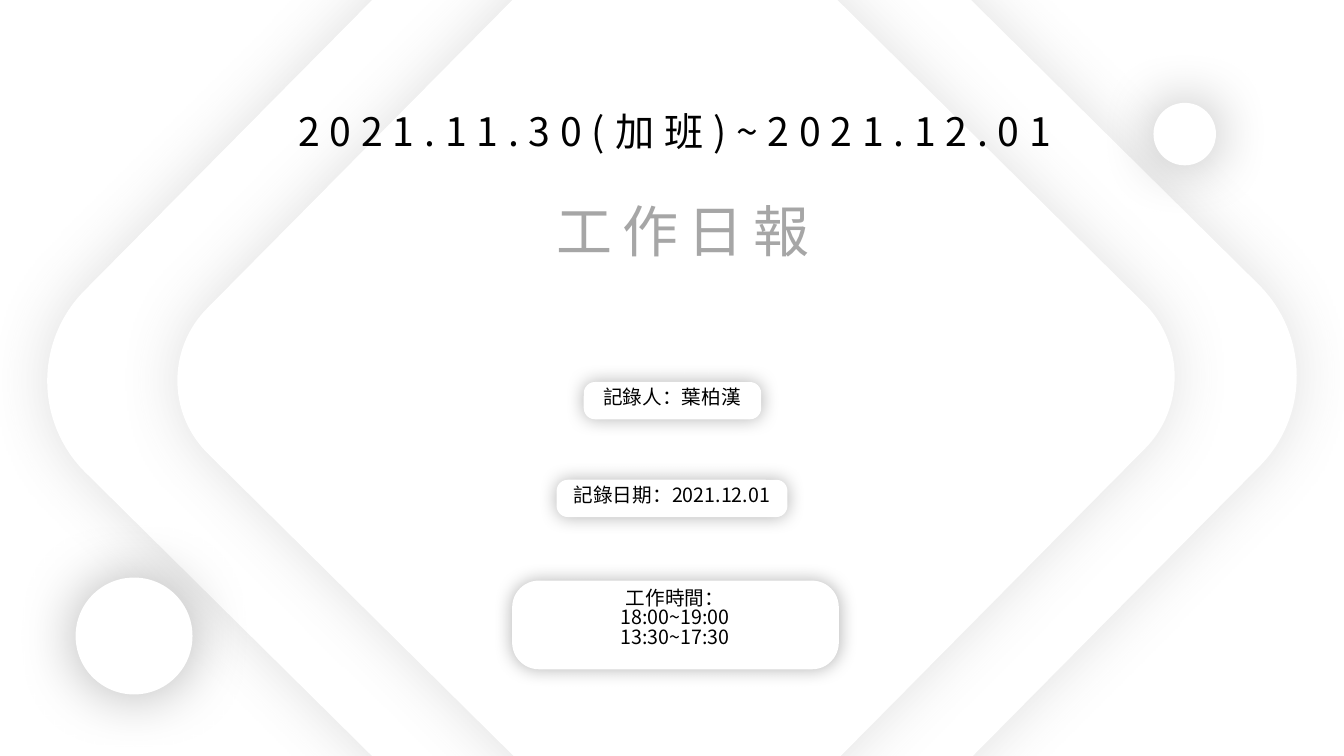
"""Build the cover slide of a daily work report."""
from lxml.etree import SubElement
from pptx import Presentation
from pptx.dml.color import RGBColor
from pptx.enum.shapes import MSO_SHAPE
from pptx.enum.text import MSO_ANCHOR, MSO_AUTO_SIZE, PP_ALIGN
from pptx.oxml.ns import qn
from pptx.util import Pt

PX = 9144
FONT = "Noto Sans CJK SC"
COLORS = {"white": "FFFFFF", "black": "000000", "grey": "A6A6A6", "frame shadow": "595959"}


def add_panel(shapes, kind, box, shadow_color, opacity, blur):
    """Add a white shape with a soft shadow all around it."""
    panel = shapes.add_shape(kind, *[length * PX for length in box])
    panel.fill.solid()
    panel.fill.fore_color.rgb = RGBColor.from_string(COLORS["white"])
    panel.line.fill.background()
    panel.shadow.inherit = False
    effects = panel._element.spPr.find(qn("a:effectLst"))
    shadow = SubElement(effects, qn("a:outerShdw"), blurRad=str(Pt(blur)), dist="0",
                        dir="0", algn="ctr", rotWithShape="0")
    color = SubElement(shadow, qn("a:srgbClr"), val=COLORS[shadow_color])
    SubElement(color, qn("a:alpha"), val=str(opacity * 1000))
    return panel


def write_text(shape, box, lines, size, color, spacing=0):
    """Place a text shape and fill it with centred lines."""
    shape.left, shape.top, shape.width, shape.height = [length * PX for length in box]
    frame = shape.text_frame
    frame.word_wrap = True
    frame.auto_size = MSO_AUTO_SIZE.SHAPE_TO_FIT_TEXT
    frame.vertical_anchor = MSO_ANCHOR.TOP
    for index, line in enumerate(lines):
        paragraph = frame.add_paragraph() if index else frame.paragraphs[0]
        paragraph.alignment = PP_ALIGN.CENTER
        paragraph.line_spacing = 0.83
        run = paragraph.add_run()
        run.text = line
        run.font.size = Pt(size)
        run.font.name = FONT
        run.font.color.rgb = RGBColor.from_string(COLORS[color])
        properties = run.font._element
        SubElement(properties, qn("a:ea"), typeface=FONT)
        if spacing:
            properties.set("spc", str(spacing * 100))


presentation = Presentation()
presentation.slide_width = 1333 * PX
presentation.slide_height = 750 * PX
slide = presentation.slides.add_slide(presentation.slide_layouts[5])
shapes = slide.shapes

for box in [(191, -100, 951, 951), (291, -4, 759, 759)]:
    diamond = add_panel(shapes, MSO_SHAPE.ROUNDED_RECTANGLE, box, "frame shadow", 19, 43)
    diamond.adjustments[0] = 0.134
    diamond.rotation = 44.7

period = shapes.add_textbox(0, 0, PX, PX)
write_text(period, (266, 109, 807, 57), ["2021.11.30(加班)~2021.12.01"], 28, "black", 7)

title = shapes.title
write_text(title, (440, 201, 475, 77), ["工作日報"], 40, "grey", 7)
period._element.addnext(title._element)

for box in [(75, 573, 116, 116), (1144, 102, 62, 62)]:
    add_panel(shapes, MSO_SHAPE.OVAL, box, "black", 30, 43)

labels = [
    ((579, 379, 176, 37), (562, 381, 209, 34), ["記錄人：葉柏漢"]),
    ((552, 476, 229, 37), (546, 478, 241, 34), ["記錄日期：2021.12.01"]),
    ((508, 576, 324, 88), (499, 580, 341, 81), ["工作時間：", "18:00~19:00", "13:30~17:30"]),
]
for panel_box, text_box, lines in labels:
    group = shapes.add_group_shape()
    panel = add_panel(group.shapes, MSO_SHAPE.ROUNDED_RECTANGLE, panel_box, "black", 30, 13)
    panel.adjustments[0] = 0.302
    label = group.shapes.add_textbox(*[length * PX for length in text_box])
    write_text(label, text_box, lines, 14, "black")

presentation.save("out.pptx")
